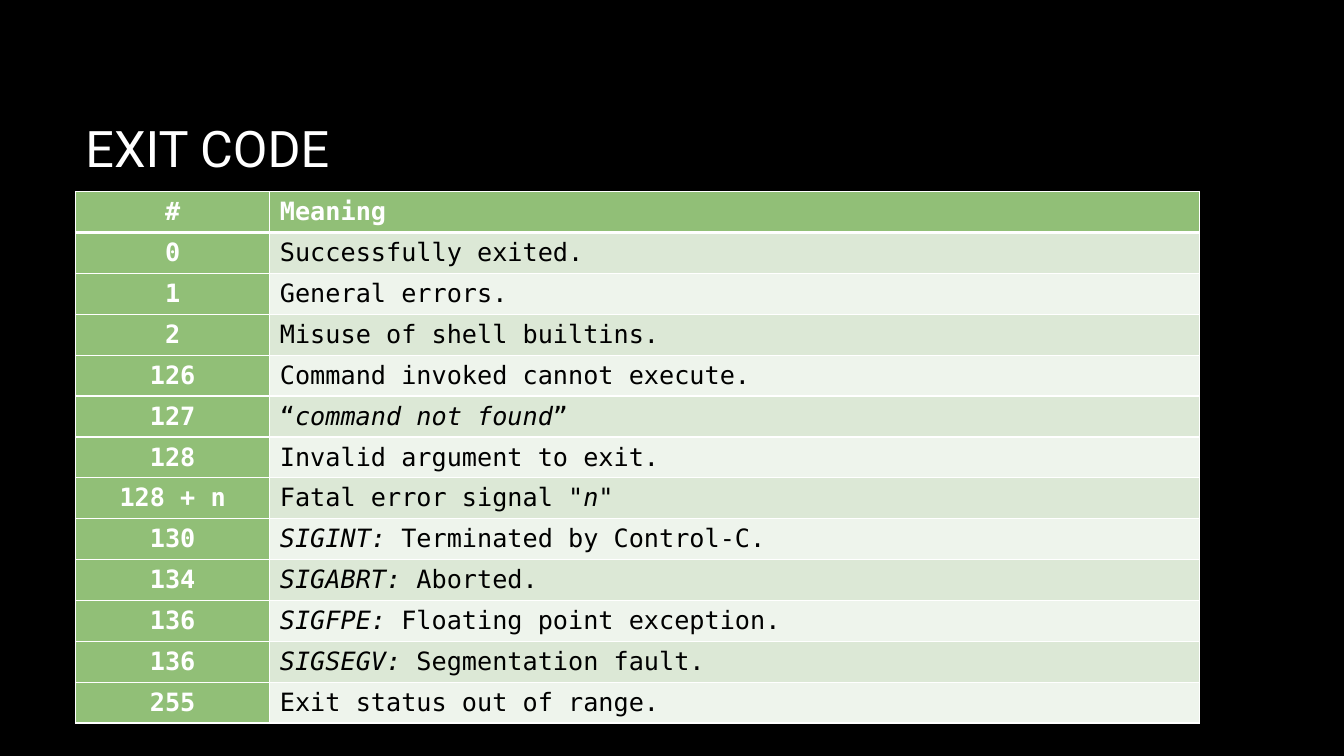
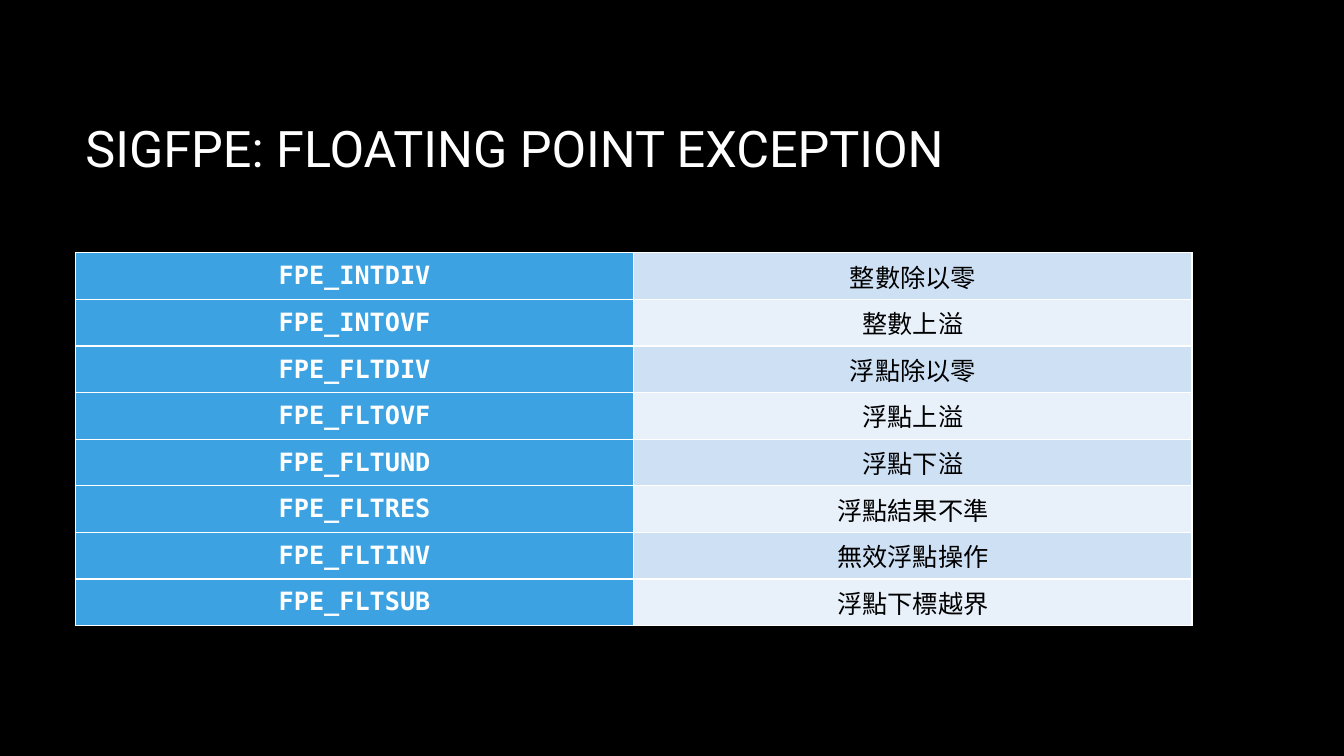
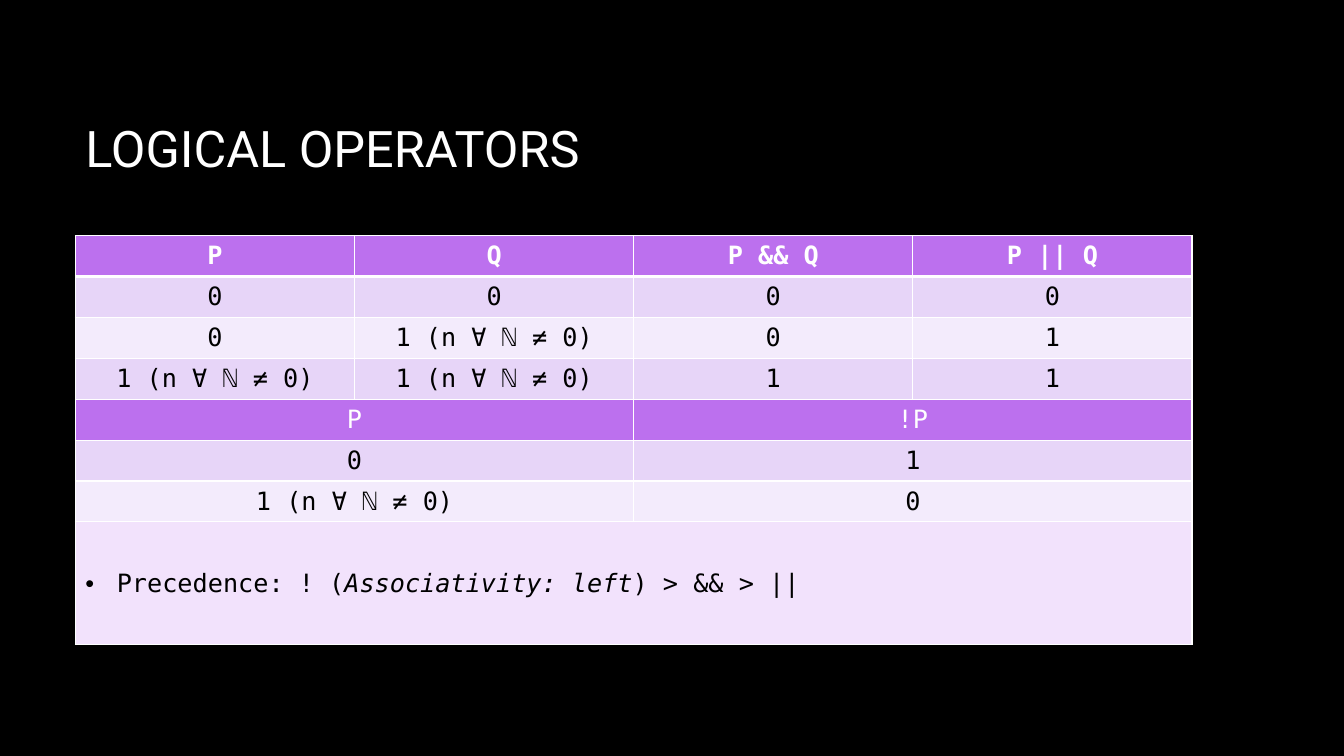
from collections import namedtuple

from lxml import etree
from pptx import Presentation
from pptx.dml.color import RGBColor
from pptx.enum import text
from pptx.oxml import ns
from pptx.util import Cm, Pt

BLACK = RGBColor(0x00, 0x00, 0x00)
WHITE = RGBColor(0xFF, 0xFF, 0xFF)

Palette = namedtuple("Palette", "accent dark_band light_band")
GREEN = Palette(RGBColor(0x91, 0xBF, 0x77), RGBColor(0xDC, 0xE8, 0xD6), RGBColor(0xEE, 0xF4, 0xEC))
BLUE = Palette(RGBColor(0x3C, 0xA2, 0xE2), RGBColor(0xCE, 0xE0, 0xF4), RGBColor(0xE8, 0xF0, 0xFA))
PURPLE = Palette(RGBColor(0xBC, 0x70, 0xEE), RGBColor(0xE7, 0xD5, 0xF8), RGBColor(0xF3, 0xEB, 0xFC))
NOTE_FILL = RGBColor(0xF2, 0xE2, 0xFC)

TITLE_FONT = "Roboto"
TABLE_FONT = "DejaVu Sans Mono"
LEFT = Cm(1.9)
CONTENT_WIDTH = Cm(28.14)
ROW_HEIGHT = Cm(1.03)
THIN, THICK = Pt(1), Pt(3)
CENTER, START = text.PP_ALIGN.CENTER, text.PP_ALIGN.LEFT

# Asterisks enclose italic words.
EXIT_CODES = [
    ("#", "Meaning"),
    ("0", "Successfully exited."),
    ("1", "General errors."),
    ("2", "Misuse of shell builtins."),
    ("126", "Command invoked cannot execute."),
    ("127", "“*command not found*”"),
    ("128", "Invalid argument to exit."),
    ("128 + n", 'Fatal error signal "*n*"'),
    ("130", "*SIGINT:* Terminated by Control-C."),
    ("134", "*SIGABRT: *Aborted."),
    ("136", "*SIGFPE: *Floating point exception."),
    ("136", "*SIGSEGV:* Segmentation fault."),
    ("255", "Exit status out of range."),
]
FPE_CODES = [
    ("FPE_INTDIV", "整數除以零"),
    ("FPE_INTOVF", "整數上溢"),
    ("FPE_FLTDIV", "浮點除以零"),
    ("FPE_FLTOVF", "浮點上溢"),
    ("FPE_FLTUND", "浮點下溢"),
    ("FPE_FLTRES", "浮點結果不準"),
    ("FPE_FLTINV", "無效浮點操作"),
    ("FPE_FLTSUB", "浮點下標越界"),
]
NONZERO = "1 (n ∀ ℕ ≠ 0)"
BINARY_OPERATORS = [
    ("P", "Q", "P && Q", "P || Q"),
    ("0", "0", "0", "0"),
    ("0", NONZERO, "0", "1"),
    (NONZERO, NONZERO, "1", "1"),
]
NEGATION = [("P", "!P"), ("0", "1"), (NONZERO, "0")]
PRECEDENCE = "Precedence: ! (*Associativity: left*) > && > ||"


def format_font(font, name, size, color):
    font.name, font.size = name, Pt(size)
    font.color.rgb = color


def add_titled_slide(prs, title):
    slide = prs.slides.add_slide(prs.slide_layouts[5])
    heading = slide.shapes.title
    heading.left, heading.top = LEFT, Cm(1.7)
    heading.width, heading.height = CONTENT_WIDTH, Cm(4.04)
    frame = heading.text_frame
    frame.text = title
    frame.vertical_anchor = text.MSO_ANCHOR.MIDDLE
    frame.paragraphs[0].alignment = START
    format_font(frame.paragraphs[0].runs[0].font, TITLE_FONT, 36, WHITE)
    return slide


def add_plain_table(slide, top, widths, heights):
    """Add a table without style options, sized by its columns and rows."""
    table = slide.shapes.add_table(
        len(heights), len(widths), LEFT, top, sum(widths), sum(heights)).table
    table.first_row = table.horz_banding = False
    for column, width in zip(table.columns, widths):
        column.width = width
    for row, height in zip(table.rows, heights):
        row.height = height
    return table


def set_borders(cell, top=THIN, bottom=THIN):
    properties = cell._tc.get_or_add_tcPr()
    sides = {"lnL": THIN, "lnR": THIN, "lnT": top, "lnB": bottom}
    for position, (side, width) in enumerate(sides.items()):
        line = etree.Element(ns.qn("a:" + side), w=str(width))
        fill = etree.SubElement(line, ns.qn("a:solidFill"))
        etree.SubElement(fill, ns.qn("a:srgbClr"), val=str(WHITE))
        properties.insert(position, line)


def draw_borders(table, has_header):
    """Rule every cell in white, with a thick line below a header row."""
    for index, row in enumerate(table.rows):
        for cell in row.cells:
            set_borders(cell,
                        top=THICK if has_header and index == 1 else THIN,
                        bottom=THICK if has_header and index == 0 else THIN)


def write_cell(cell, content, fill, color=BLACK, bold=False, align=CENTER):
    cell.fill.solid()
    cell.fill.fore_color.rgb = fill
    cell.vertical_anchor = text.MSO_ANCHOR.MIDDLE
    paragraph = cell.text_frame.paragraphs[0]
    paragraph.alignment = align
    for index, part in enumerate(content.split("*")):
        if part:
            run = paragraph.add_run()
            run.text = part
            format_font(run.font, TABLE_FONT, 18, color)
            run.font.bold, run.font.italic = bold, index % 2 == 1


def band(palette, index):
    return palette.light_band if index % 2 else palette.dark_band


def add_code_table(slide, top, widths, row_height, rows, palette, has_header, align):
    """Add a two-column table with coloured codes on the left."""
    table = add_plain_table(slide, top, widths, [row_height] * len(rows))
    for index, (code, meaning) in enumerate(rows):
        write_cell(table.cell(index, 0), code, palette.accent, WHITE, bold=True)
        if has_header and index == 0:
            write_cell(table.cell(index, 1), meaning, palette.accent, WHITE, bold=True, align=align)
        else:
            write_cell(table.cell(index, 1), meaning, band(palette, index - has_header), align=align)
    draw_borders(table, has_header)


def write_truth_rows(table, first_row, rows, span, bold_header):
    """Write a heading and its banded rows, each value over span columns."""
    for index, values in enumerate(rows):
        for position, value in enumerate(values):
            row, column = first_row + index, position * span
            cell = table.cell(row, column)
            if span > 1:
                cell.merge(table.cell(row, column + span - 1))
            if index == 0:
                write_cell(cell, value, PURPLE.accent, WHITE, bold=bold_header)
            else:
                write_cell(cell, value, band(PURPLE, index - 1))


def write_precedence(table, row):
    cell = table.cell(row, 0)
    cell.merge(table.cell(row, len(table.columns) - 1))
    write_cell(cell, PRECEDENCE, NOTE_FILL, align=START)
    properties = cell.text_frame.paragraphs[0]._p.get_or_add_pPr()
    indent = Cm(0.79)
    properties.set("marL", str(indent))
    properties.set("indent", str(-indent))
    etree.SubElement(properties, ns.qn("a:buFont"), typeface="Arial")
    etree.SubElement(properties, ns.qn("a:buChar"), char="•")


def add_operator_table(slide, top):
    row_count = len(BINARY_OPERATORS) + len(NEGATION)
    table = add_plain_table(slide, top, [CONTENT_WIDTH // 4] * 4,
                            [ROW_HEIGHT] * row_count + [Cm(3.1)])
    write_truth_rows(table, 0, BINARY_OPERATORS, span=1, bold_header=True)
    write_truth_rows(table, len(BINARY_OPERATORS), NEGATION, span=2, bold_header=False)
    write_precedence(table, row_count)
    draw_borders(table, has_header=True)


def main():
    prs = Presentation()
    prs.slide_width, prs.slide_height = Cm(33.87), Cm(19.05)
    background = prs.slide_master.background.fill
    background.solid()
    background.fore_color.rgb = BLACK

    add_code_table(add_titled_slide(prs, "EXIT CODE"), Cm(4.83), [Cm(4.9), Cm(23.42)],
                   ROW_HEIGHT, EXIT_CODES, GREEN, has_header=True, align=START)
    add_code_table(add_titled_slide(prs, "SIGFPE: FLOATING POINT EXCEPTION"), Cm(6.37),
                   [CONTENT_WIDTH // 2] * 2, Cm(1.17), FPE_CODES, BLUE,
                   has_header=False, align=CENTER)
    add_operator_table(add_titled_slide(prs, "LOGICAL OPERATORS"), Cm(5.94))
    prs.save("out.pptx")


if __name__ == "__main__":
    main()
